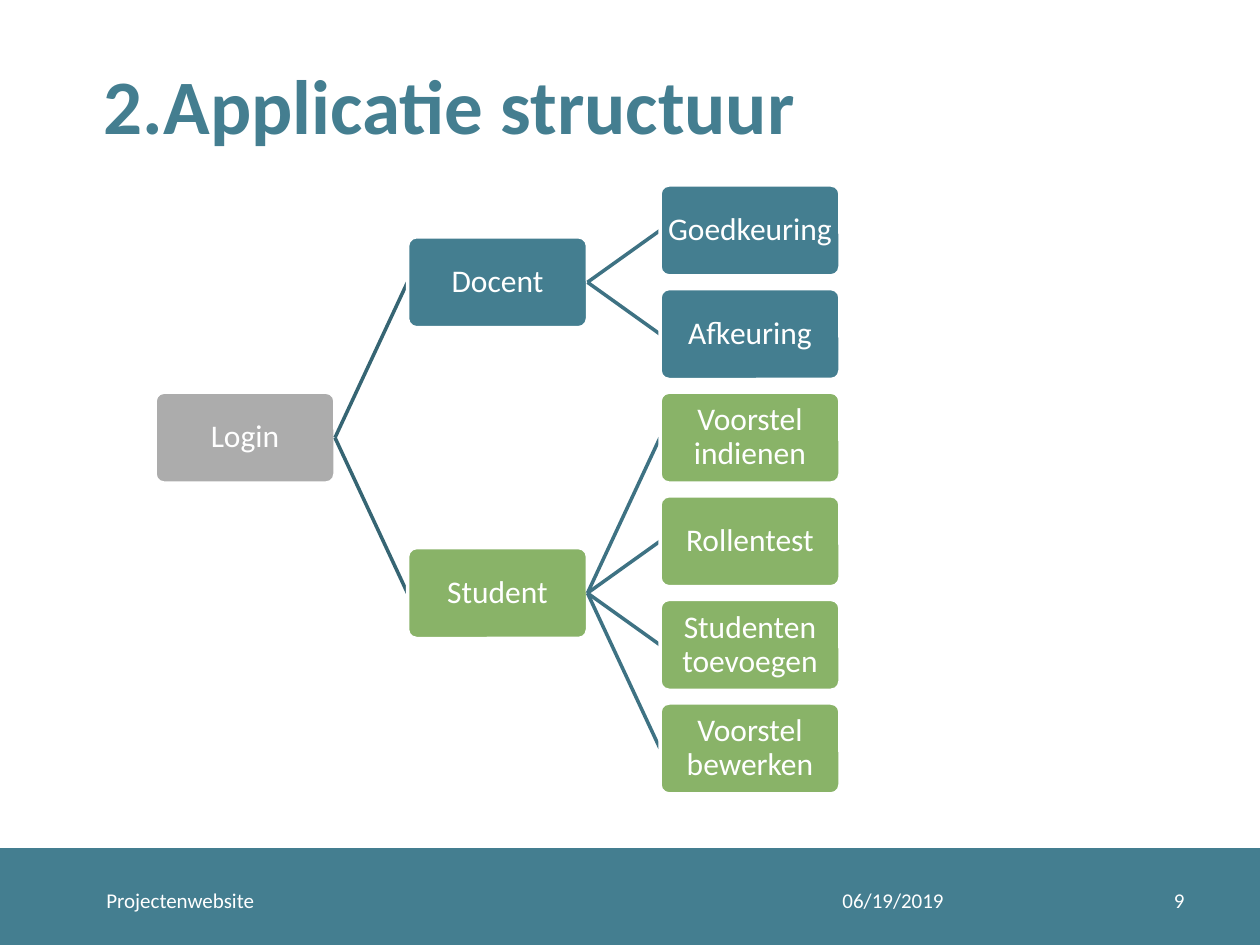
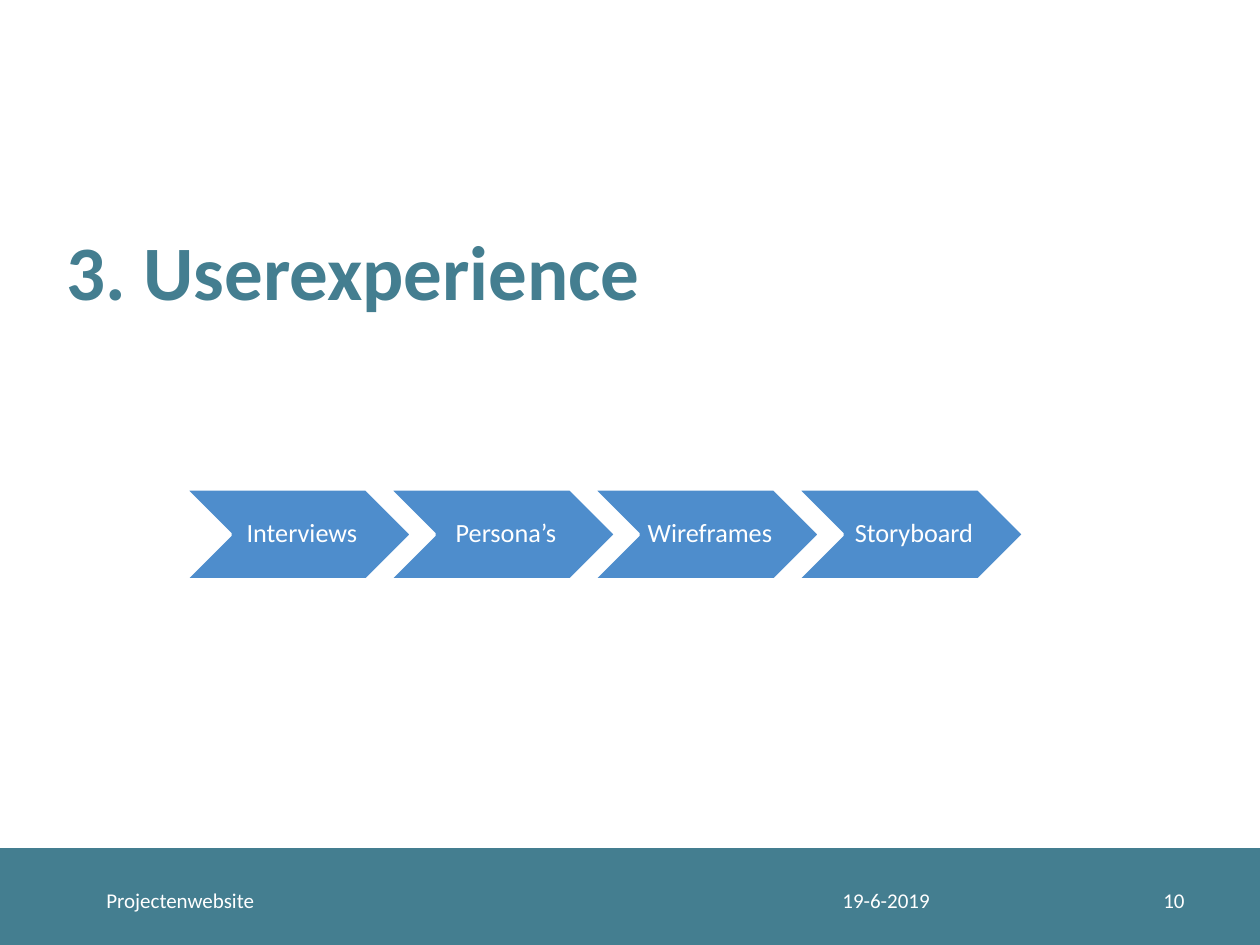
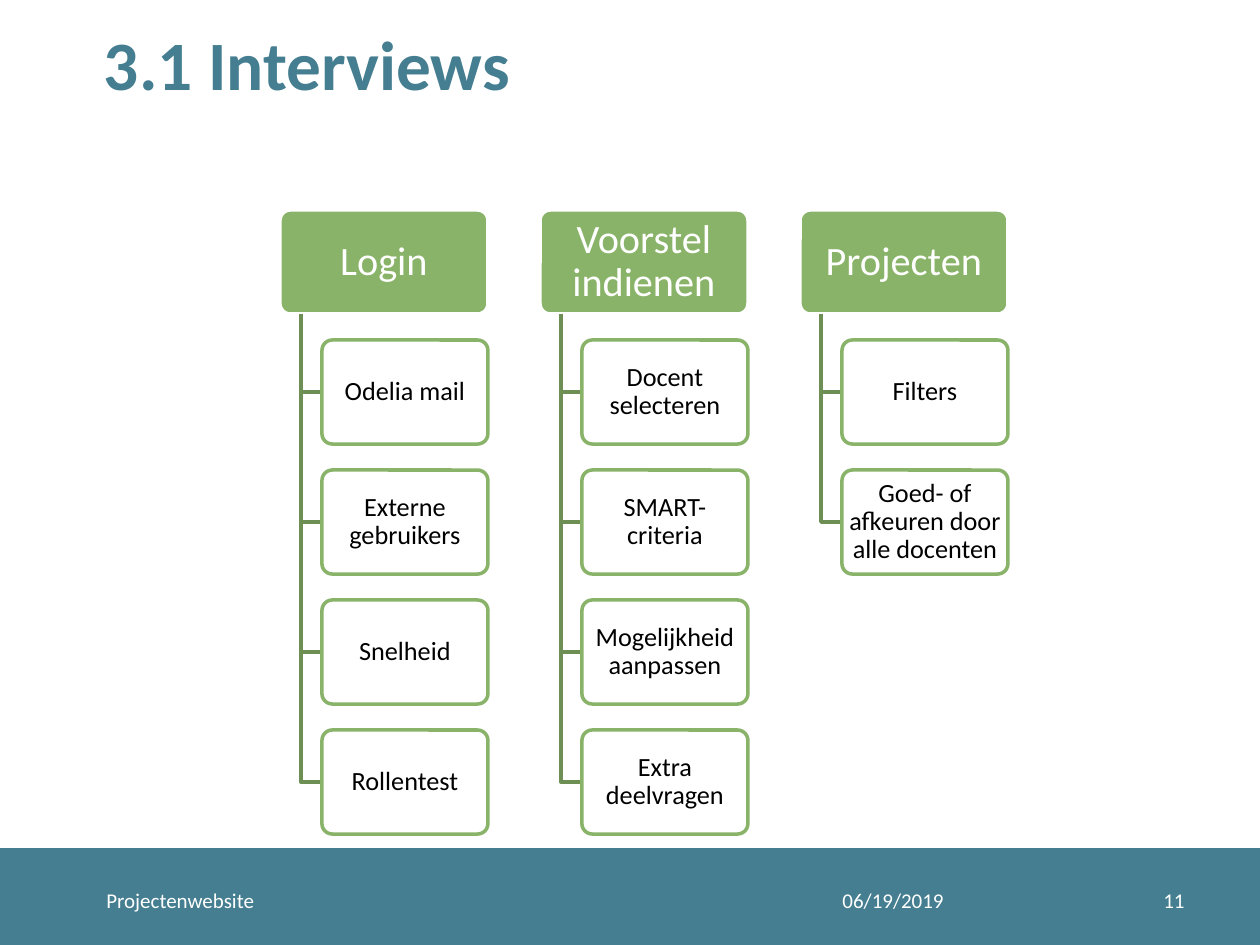
from lxml import etree
from pptx import Presentation
from pptx.dml.color import RGBColor
from pptx.enum.shapes import MSO_CONNECTOR, MSO_SHAPE
from pptx.enum.text import MSO_ANCHOR, MSO_AUTO_SIZE, PP_ALIGN
from pptx.oxml.ns import qn
from pptx.util import Emu, Pt

LEFT, CENTER, RIGHT = PP_ALIGN.LEFT, PP_ALIGN.CENTER, PP_ALIGN.RIGHT
MIDDLE = MSO_ANCHOR.MIDDLE
RECT, ROUND, CHEVRON = MSO_SHAPE.RECTANGLE, MSO_SHAPE.ROUNDED_RECTANGLE, MSO_SHAPE.CHEVRON
STRAIGHT = MSO_CONNECTOR.STRAIGHT

PX = 914400 / 126
SLIDE_W, SLIDE_H = 1260, 945
BAND_TOP = 850
TITLE_ONLY = 5
FONT = "Calibri"
COLORS = {
    "teal": "447E90", "green": "89B368", "gray": "ACACAC", "blue": "4E8DCC",
    "white": "FFFFFF", "black": "000000",
    "link_root": "366573", "link_branch": "3E7283", "link_list": "6E8F53",
}

# Each node: label, fill, children
APP_TREE = ("Login", "gray", [
    ("Docent", "teal", [
        ("Goedkeuring", "teal", []),
        ("Afkeuring", "teal", []),
    ]),
    ("Student", "green", [
        ("Voorstel indienen", "green", []),
        ("Rollentest", "green", []),
        ("Studenten toevoegen", "green", []),
        ("Voorstel bewerken", "green", []),
    ]),
])
UX_STEPS = ["Interviews", "Persona’s", "Wireframes", "Storyboard"]
INTERVIEW_TOPICS = [
    ("Login", ["Odelia mail", "Externe gebruikers", "Snelheid", "Rollentest"]),
    ("Voorstel indienen", ["Docent selecteren", "SMART-criteria",
                           "Mogelijkheid aanpassen", "Extra deelvragen"]),
    ("Projecten", ["Filters", "Goed- of afkeuren door alle docenten"]),
]


def px(n):
    return Emu(round(n * PX))


def rgb(name):
    return RGBColor.from_string(COLORS[name])


def place(s, box):
    s.left, s.top, s.width, s.height = (px(n) for n in box)


def set_margins(tf, left, top, right, bottom):
    tf.margin_left, tf.margin_top = px(left), px(top)
    tf.margin_right, tf.margin_bottom = px(right), px(bottom)


def write(tf, text, size, color, align=LEFT, bold=False, spacing=None):
    tf.word_wrap = True
    tf.auto_size = MSO_AUTO_SIZE.NONE
    tf.vertical_anchor = MIDDLE
    p = tf.paragraphs[0]
    p.alignment = align
    p.line_spacing = spacing
    r = p.add_run()
    r.text = text
    r.font.name = FONT
    r.font.size = Pt(size)
    r.font.bold = bold
    r.font.color.rgb = rgb(color)


def set_line(s, color):
    s.line.color.rgb = rgb(color)
    s.line.width = Pt(2)


def add_block(slide, kind, box, fill, line="white"):
    s = slide.shapes.add_shape(kind, *(px(n) for n in box))
    s.shadow.inherit = False
    s.fill.solid()
    s.fill.fore_color.rgb = rgb(fill)
    set_line(s, line)
    return s


def add_label_block(slide, kind, box, text, size, fill, line="white",
                    color="white", margins=(1, 1, 1, 1)):
    s = add_block(slide, kind, box, fill, line)
    if kind == ROUND:
        s.adjustments[0] = 0.1
    set_margins(s.text_frame, *margins)
    write(s.text_frame, text, size, color, CENTER, spacing=0.9)
    return s


def set_opacity(s, percent):
    clr = s.fill._xPr.find(qn("a:solidFill"))[0]
    etree.SubElement(clr, qn("a:alpha"), val=str(percent * 1000))


def add_link(slide, start, end, color):
    c = slide.shapes.add_connector(STRAIGHT, *(px(n) for n in start + end))
    etree.SubElement(c._element.spPr, qn("a:effectLst"))
    set_line(c, color)


def add_elbow(slide, x, top, bottom, end_x):
    fb = slide.shapes.build_freeform(x, top, scale=PX)
    fb.add_line_segments([(x, bottom), (end_x, bottom)], close=False)
    s = fb.convert_to_shape()
    s.shadow.inherit = False
    s.fill.background()
    set_line(s, "link_list")


def add_band(slide):
    """Put the footer band on the layout, behind everything."""
    s = add_block(slide, RECT, (0, BAND_TOP, SLIDE_W, SLIDE_H - BAND_TOP), "teal", "teal")
    slide.slide_layout.shapes._spTree.insert(2, s._element)


def add_footer(slide, date, number):
    for x, w, text, align in ((830, 294, date, LEFT),
                              (94, 730, "Projectenwebsite", LEFT),
                              (1124, 73, str(number), RIGHT)):
        s = slide.shapes.add_textbox(px(x), px(875), px(w), px(50))
        write(s.text_frame, text, 12, "white", align)


def add_slide(prs, title, box, date, number, size=44):
    slide = prs.slides.add_slide(prs.slide_layouts[TITLE_ONLY])
    place(slide.shapes.title, box)
    write(slide.shapes.title.text_frame, title, size, "teal", bold=True)
    add_footer(slide, date, number)
    return slide


def count_leaves(node):
    return sum(map(count_leaves, node[2])) or 1


def draw_tree(slide, tree, box):
    """Draw a left-to-right tree whose leaves share the height of the box."""
    left, top, width, height = box
    node_w, node_h, levels = 180, 91, 3
    col_step = (width - node_w) / (levels - 1)
    row_step = (height - node_h) / (count_leaves(tree) - 1)

    def center(node, row):
        """Middle of a node whose first leaf is in the given row."""
        if not node[2]:
            return top + node_h / 2 + row * row_step
        last = node[2][-1]
        last_row = row + count_leaves(node) - count_leaves(last)
        return (center(node[2][0], row) + center(last, last_row)) / 2

    def draw(node, level, row):
        text, fill, children = node
        x, y = left + level * col_step, center(node, row)
        add_label_block(slide, ROUND, (x, y - node_h / 2, node_w, node_h),
                        text, 18, fill)
        link = "link_branch" if level else "link_root"
        for child in children:
            add_link(slide, (x + node_w, y),
                     (x + col_step, center(child, row)), link)
            draw(child, level + 1, row)
            row += count_leaves(child)

    draw(tree, 0, 0)


def draw_steps(slide, steps, box):
    left, top, width, height = box
    step_w = 227
    pitch = (width - step_w) / (len(steps) - 1)
    for i, text in enumerate(steps):
        s = add_label_block(slide, CHEVRON, (left + i * pitch, top, step_w, height),
                            text, 15, "blue", margins=(9, 2, 2, 2))
        s.text_frame.word_wrap = False


def draw_topic_list(slide, head, items, box):
    """Draw a heading with its items hanging below it on elbow lines."""
    left, top, width, row_h = box
    pitch, indent = 130, 42
    add_label_block(slide, ROUND, (left, top, width, row_h), head, 23, "green",
                    margins=(6, 4, 6, 4))
    for i, text in enumerate(items, start=1):
        y = top + i * pitch
        add_elbow(slide, left + indent // 2, top + row_h, y + row_h // 2, left + indent)
        s = add_label_block(slide, ROUND, (left + indent, y, width - indent, row_h),
                            text, 15, "white", "green", "black", (3, 2, 3, 2))
        set_opacity(s, 90)


def main():
    prs = Presentation()
    prs.slide_width, prs.slide_height = px(SLIDE_W), px(SLIDE_H)
    title_box = (91, 25, 1106, 158)

    slide = add_slide(prs, "2.Applicatie structuur", title_box, "06/19/2019", 9)
    add_band(slide)
    draw_tree(slide, APP_TREE, (155, 185, 685, 609))

    slide = add_slide(prs, "3. Userexperience", (54, 191, 1106, 158), "19-6-2019", 10)
    draw_steps(slide, UX_STEPS, (185, 489, 839, 91))

    slide = add_slide(prs, "3.1 Interviews", title_box, "06/19/2019", 11, size=39.6)
    set_margins(slide.shapes.title.text_frame, 13, 6, 13, 88)
    for i, (head, items) in enumerate(INTERVIEW_TOPICS):
        draw_topic_list(slide, head, items, (280 + i * 260, 210, 208, 104))

    prs.save("out.pptx")


if __name__ == "__main__":
    main()
